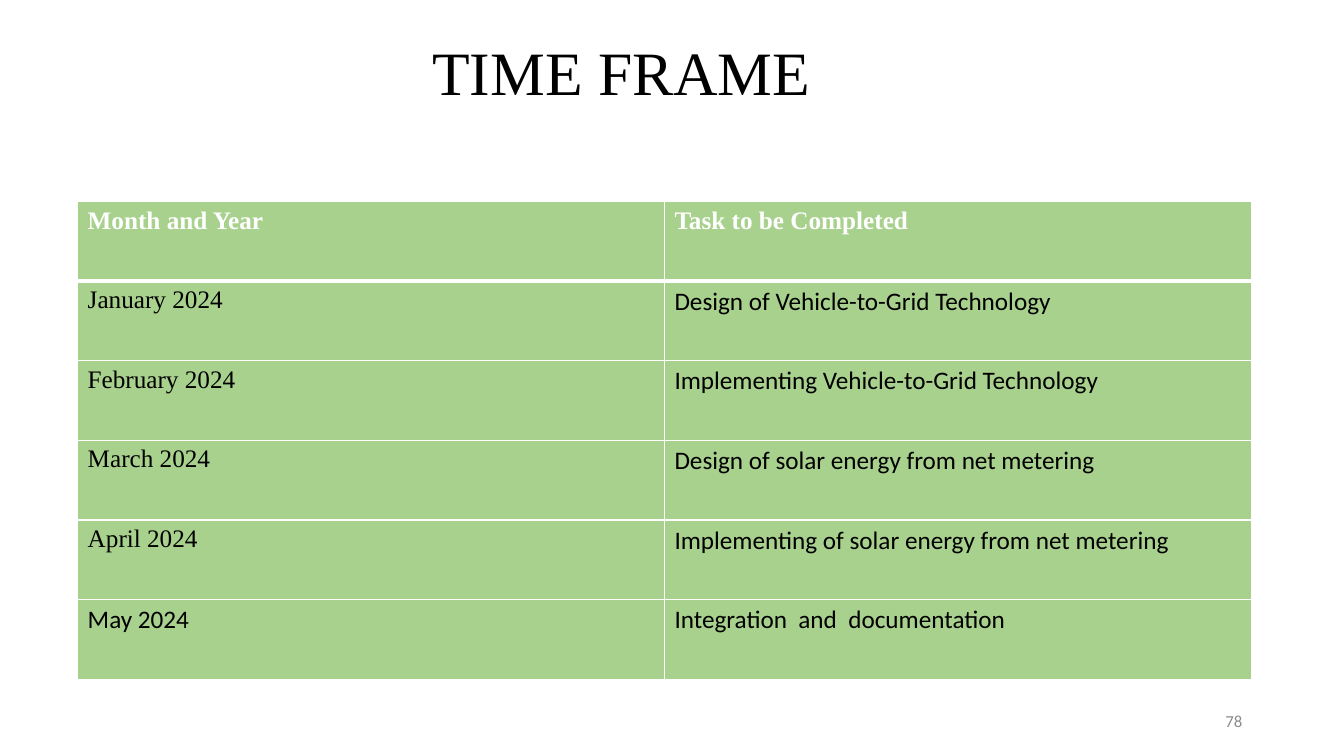
"""Build the time frame slide: a title, a schedule table and a page number."""
from lxml.etree import SubElement
from pptx import Presentation
from pptx.dml.color import RGBColor
from pptx.enum.text import MSO_ANCHOR as Anchor, PP_ALIGN as Align
from pptx.oxml.ns import qn
from pptx.util import Pt

TITLE = "TIME FRAME"
PAGE = "78"
ROWS = [
    ("Month and Year", "Task to be Completed"),
    ("January 2024", "Design of Vehicle-to-Grid Technology"),
    ("February 2024", "Implementing Vehicle-to-Grid Technology"),
    ("March 2024", "Design of solar energy from net metering"),
    ("April 2024", "Implementing of solar energy from net metering"),
    ("May 2024", "Integration  and  documentation"),
]
SERIF, SANS = "Times New Roman", "Calibri"
BLACK = RGBColor(0x00, 0x00, 0x00)
WHITE = RGBColor(0xFF, 0xFF, 0xFF)
GREEN = RGBColor(0xA9, 0xD1, 0x8E)
GREY = RGBColor(0x8C, 0x8C, 0x8C)
PX = 9144
SIZE = (1333, 750)
TITLE_BOX = (27, 2, 1179, 145)
TABLE_BOX = (77, 200, 1164, 474)
PAGE_BOX = (942, 695, 300, 40)


def scale(box):
    return [n * PX for n in box]


def style(para, face, size, color, bold=False):
    for run in para.runs:
        font = run.font
        font.name, font.size, font.bold = face, Pt(size), bold
        font.color.rgb = color


def add_text(slide, box, text, align, face, size, color):
    frame = slide.shapes.add_textbox(*scale(box)).text_frame
    frame.word_wrap = True
    frame.vertical_anchor = Anchor.MIDDLE
    frame.text = text
    para = frame.paragraphs[0]
    para.alignment = align
    style(para, face, size, color)
    return para


def add_edge(cell, side, width):
    props = cell._tc.get_or_add_tcPr()
    line = SubElement(props, qn("a:ln" + side), w=str(Pt(width)))
    fill = SubElement(line, qn("a:solidFill"))
    SubElement(fill, qn("a:srgbClr"), val=str(WHITE))


def add_table(slide):
    count, cols = len(ROWS), len(ROWS[0])
    table = slide.shapes.add_table(count, cols, *scale(TABLE_BOX)).table
    for r, row in enumerate(ROWS):
        head, last = r == 0, r == count - 1
        for c, text in enumerate(row):
            cell = table.cell(r, c)
            for side in "LRTB":
                thick = (r, side) in ((0, "B"), (1, "T"))
                add_edge(cell, side, 3 if thick else 1)
            cell.fill.solid()
            cell.fill.fore_color.rgb = GREEN
            cell.text_frame.text = text
            face = SERIF if head or (c == 0 and not last) else SANS
            color = WHITE if head else BLACK
            style(cell.text_frame.paragraphs[0], face, 18, color, head)


def main():
    deck = Presentation()
    deck.slide_width, deck.slide_height = scale(SIZE)
    slide = deck.slides.add_slide(deck.slide_layouts[6])
    title = add_text(slide, TITLE_BOX, TITLE, Align.CENTER, SERIF, 44, BLACK)
    title.line_spacing = 0.9
    add_table(slide)
    add_text(slide, PAGE_BOX, PAGE, Align.RIGHT, SANS, 12, GREY)
    deck.save("out.pptx")


if __name__ == "__main__":
    main()
